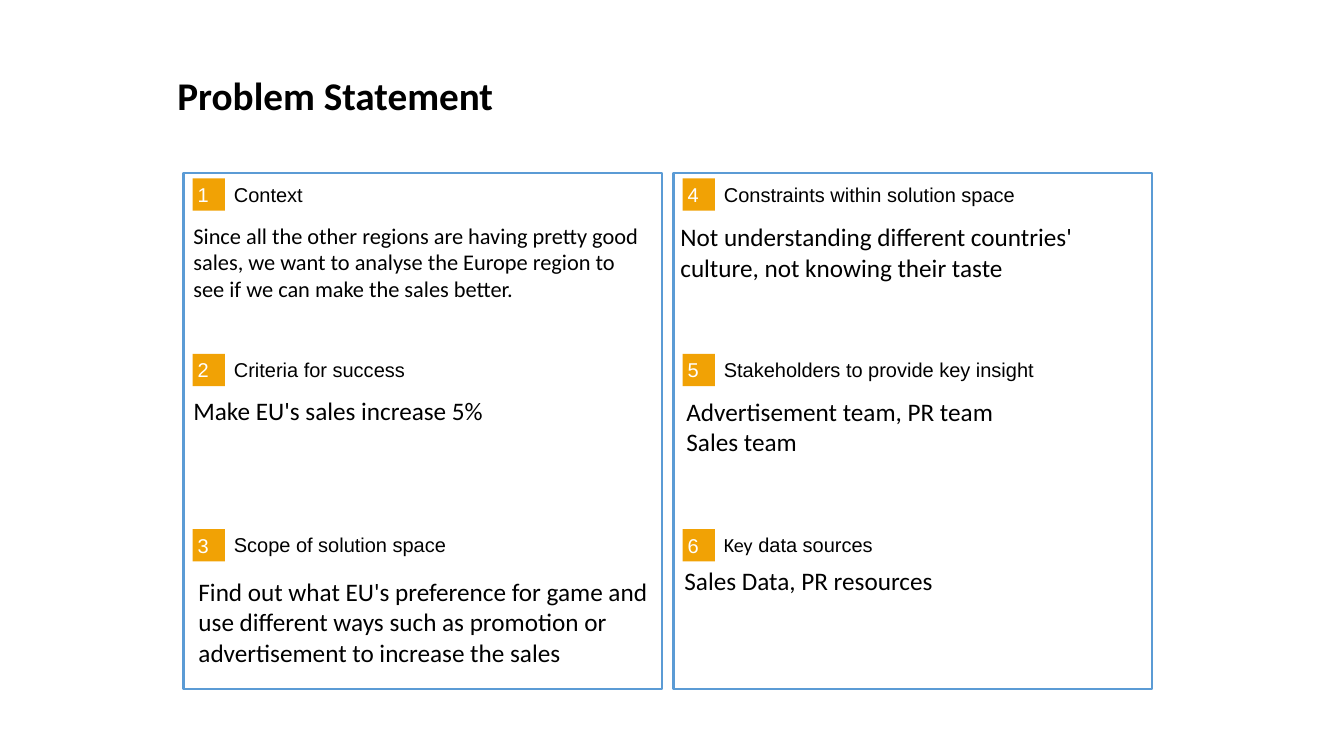
from pptx import Presentation
from pptx.dml.color import RGBColor
from pptx.enum.shapes import MSO_SHAPE
from pptx.enum.text import MSO_ANCHOR
from pptx.util import Pt

RECTANGLE = MSO_SHAPE.RECTANGLE
TOP, MIDDLE = MSO_ANCHOR.TOP, MSO_ANCHOR.MIDDLE

WHITE = RGBColor(0xFF, 0xFF, 0xFF)
BLACK = RGBColor(0, 0, 0)
BLUE = RGBColor(0x5B, 0x9B, 0xD5)
ORANGE = RGBColor(0xF1, 0xA2, 0x05)

TITLE = "Problem Statement"
SECTIONS = [
    ([("Context", "Arial")],
     ["Since all the other regions are having pretty good sales, we want to "
      "analyse the Europe region to see if we can make the sales better."],
     16, (182, 215, 473, 136)),
    ([("Criteria for success", "Arial")],
     ["Make EU's sales increase 5%"],
     18, (182, 387, 473, 154)),
    ([("Scope of solution space", "Arial")],
     ["Find out what EU's preference for game and use different ways such as "
      "promotion or advertisement to increase the sales"],
     18, (187, 567, 473, 82)),
    ([("Constraints within solution space", "Arial")],
     ["Not understanding different countries' culture, not knowing their taste"],
     18, (665, 215, 473, 118)),
    ([("Stakeholders to provide key insight", "Arial")],
     ["Advertisement team, PR team", "Sales team"],
     18, (671, 388, 473, 118)),
    ([("Key", "Calibri"), (" data sources", "Arial")],
     ["Sales Data, PR resources"],
     18, (669, 556, 473, 118)),
]

PX = 9144
ROWS = 3
PANEL_LEFT, PANEL_TOP, PANEL_WIDTH, PANEL_HEIGHT = 182, 172, 475, 512
COLUMN_STEP, ROW_STEP = 486, 174
BADGE_SIZE = 32

HEADING_FORMAT = {"size": Pt(14.3)}
TITLE_FORMAT = {"size": Pt(28), "bold": True}


def scaled(place):
    return [length * PX for length in place]


def write(box, paragraphs, format_values, color, anchor, inset_x, inset_y):
    frame = box.text_frame
    frame_values = {
        "word_wrap": True, "vertical_anchor": anchor,
        "margin_left": inset_x * PX, "margin_right": inset_x * PX,
        "margin_top": inset_y * PX, "margin_bottom": inset_y * PX,
    }
    for name, value in frame_values.items():
        setattr(frame, name, value)
    for index, spans in enumerate(paragraphs):
        para = frame.add_paragraph() if index else frame.paragraphs[0]
        for text, font_name in spans:
            span = para.add_run()
            span.text = text
            span.font.color.rgb = color
            for name, value in {**format_values, "name": font_name}.items():
                setattr(span.font, name, value)


def add_box(page, place, fill):
    box = page.shapes.add_shape(RECTANGLE, *scaled(place))
    box.shadow.inherit = False
    box.fill.solid()
    box.fill.fore_color.rgb = fill
    box.line.fill.background()
    return box


def add_text(page, place, *text_values):
    write(page.shapes.add_textbox(*scaled(place)), *text_values)


def main():
    deck = Presentation()
    deck.slide_width, deck.slide_height = scaled((1333, 750))
    page = deck.slides.add_slide(deck.slide_layouts[6])

    for column in range(len(SECTIONS) // ROWS):
        left = PANEL_LEFT + column * COLUMN_STEP
        panel = add_box(page, (left, PANEL_TOP, PANEL_WIDTH, PANEL_HEIGHT), WHITE)
        panel.line.color.rgb = BLUE
        panel.line.width = Pt(1.5)

    for index, (heading, lines, size, body_place) in enumerate(SECTIONS):
        column, row = divmod(index, ROWS)
        left = PANEL_LEFT + 9 + column * COLUMN_STEP
        top = PANEL_TOP + 5 + row * ROW_STEP
        badge = add_box(page, (left, top, BADGE_SIZE, BADGE_SIZE), ORANGE)
        write(badge, [[(str(index + 1), "Arial")]], HEADING_FORMAT, WHITE, MIDDLE, 5, 5)
        badge.text_frame.paragraphs[0].alignment = LEFT
        add_text(page, (left + 41, top + 3, 393, 25),
                 [heading], HEADING_FORMAT, BLACK, MIDDLE, 0, 0)
        add_text(page, body_place, [[(line, "Calibri")] for line in lines],
                 {"size": Pt(size)}, BLACK, TOP, 10, 5)

    add_text(page, (176, 71, 962, 70), [[(TITLE, "Calibri")]],
             TITLE_FORMAT, BLACK, TOP, 0, 0)
    deck.save("out.pptx")


from pptx.enum.text import PP_ALIGN

LEFT = PP_ALIGN.LEFT

if __name__ == "__main__":
    main()
